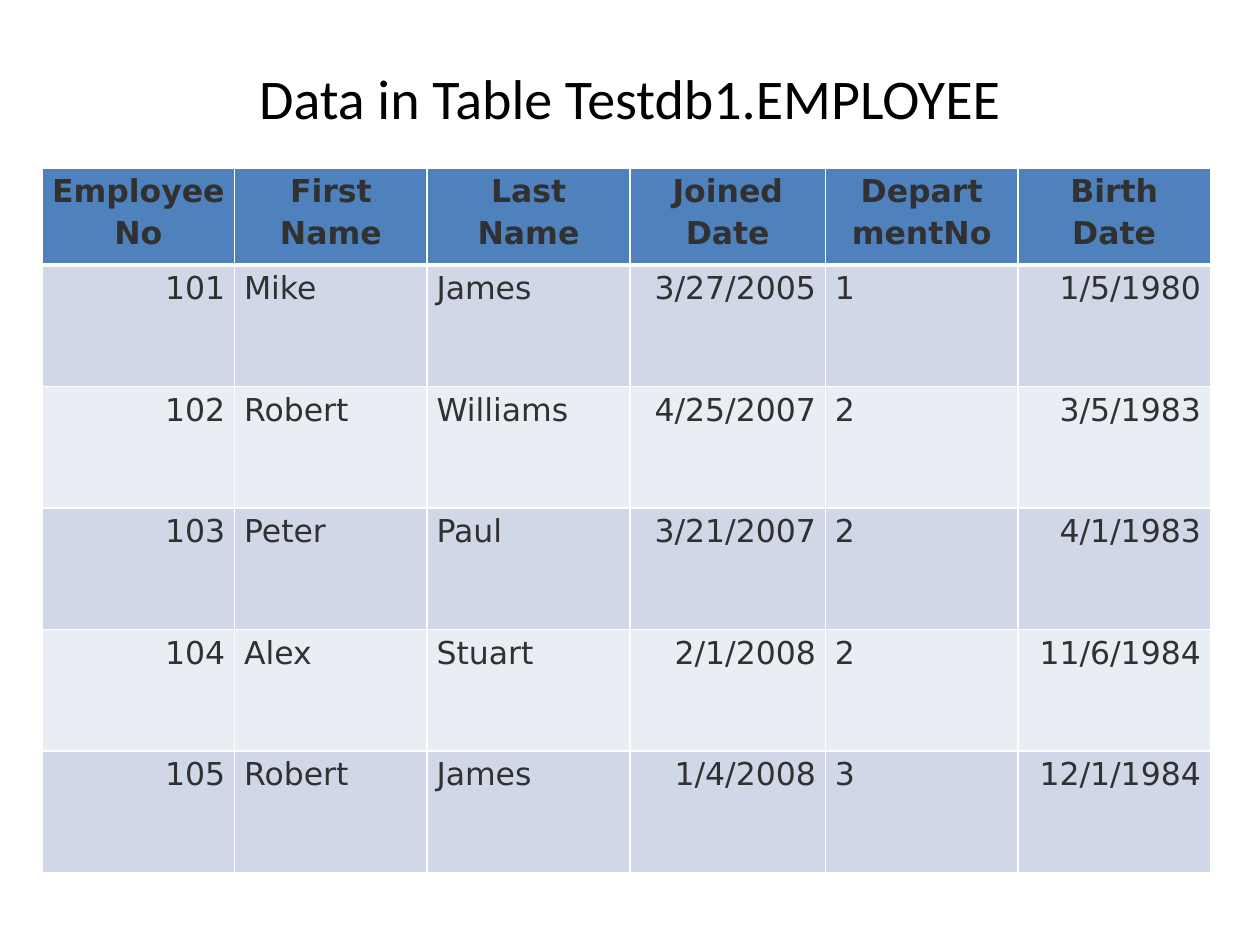
from lxml import etree
from pptx import Presentation
from pptx.dml.color import RGBColor
from pptx.enum.text import MSO_ANCHOR, PP_ALIGN
from pptx.oxml.ns import qn
from pptx.util import Cm, Pt

LEFT, MID, RIGHT = PP_ALIGN.LEFT, PP_ALIGN.CENTER, PP_ALIGN.RIGHT
CENTER = MSO_ANCHOR.MIDDLE

COLORS = {
    "title": "000000",
    "text": "313131",
    "head": "4F81BD",
    "odd": "D0D8E8",
    "even": "E9EDF4",
    "rule": "FFFFFF",
}
HEADS = ["EmployeeNo", "First\nName", "Last\nName",
         "Joined\nDate", "Depart\nmentNo", "Birth\nDate"]
STAFF = [
    ["101", "Mike", "James", "3/27/2005", "1", "1/5/1980"],
    ["102", "Robert", "Williams", "4/25/2007", "2", "3/5/1983"],
    ["103", "Peter", "Paul", "3/21/2007", "2", "4/1/1983"],
    ["104", "Alex", "Stuart", "2/1/2008", "2", "11/6/1984"],
    ["105", "Robert", "James", "1/4/2008", "3", "12/1/1984"],
]
ALIGNS = [RIGHT, LEFT, LEFT, RIGHT, LEFT, RIGHT]
WIDTHS = [3.88, 3.88, 4.09, 3.94, 3.88, 3.88]
HEIGHTS = [1.95] + [2.45] * len(STAFF)


def style(par, font, size, color, bold=False):
    for run in par.runs:
        run.font.name = font
        run.font.size = Pt(size)
        run.font.bold = bold
        run.font.color.rgb = RGBColor.from_string(COLORS[color])


def frame(cell, base):
    """Draw the four borders of a cell; base is the bottom width in points."""
    props = cell._tc.get_or_add_tcPr()
    sides = {"a:lnL": 1, "a:lnR": 1, "a:lnT": 1, "a:lnB": base}
    for pos, (tag, width) in enumerate(sides.items()):
        line = etree.Element(qn(tag), w=str(Pt(width)))
        fill = etree.SubElement(line, qn("a:solidFill"))
        etree.SubElement(fill, qn("a:srgbClr"), val=COLORS["rule"])
        props.insert(pos, line)


prs = Presentation()
prs.slide_width, prs.slide_height = Cm(25.4), Cm(19.05)
slide = prs.slides.add_slide(prs.slide_layouts[6])

box = slide.shapes.add_textbox(Cm(1.27), Cm(0.76), Cm(22.86), Cm(2.41))
title = box.text_frame
title.word_wrap = True
title.vertical_anchor = CENTER
title.text = "Data in Table Testdb1.EMPLOYEE"
title.paragraphs[0].alignment = MID
style(title.paragraphs[0], "Calibri", 32, "title")

rows = [HEADS] + STAFF
table = slide.shapes.add_table(
    len(rows), len(HEADS), Cm(0.85), Cm(3.39),
    Cm(sum(WIDTHS)), Cm(sum(HEIGHTS))).table
for col, width in zip(table.columns, WIDTHS):
    col.width = Cm(width)
for row, height in zip(table.rows, HEIGHTS):
    row.height = Cm(height)

for r, row in enumerate(rows):
    head = r == 0
    shade = "head" if head else "odd" if r % 2 else "even"
    after = 0 if head or r == len(STAFF) else 10
    for c, text in enumerate(row):
        cell = table.cell(r, c)
        cell.margin_left = cell.margin_right = Cm(0.19)
        cell.margin_top = cell.margin_bottom = 0
        cell.fill.solid()
        cell.fill.fore_color.rgb = RGBColor.from_string(COLORS[shade])
        frame(cell, 3 if head else 1)
        cell.text_frame.text = text
        for par in cell.text_frame.paragraphs:
            par.alignment = MID if head else ALIGNS[c]
            par.line_spacing = 1.15
            par.space_after = Pt(after)
            style(par, "DejaVu Sans", 18, "text", head)

prs.save("out.pptx")
